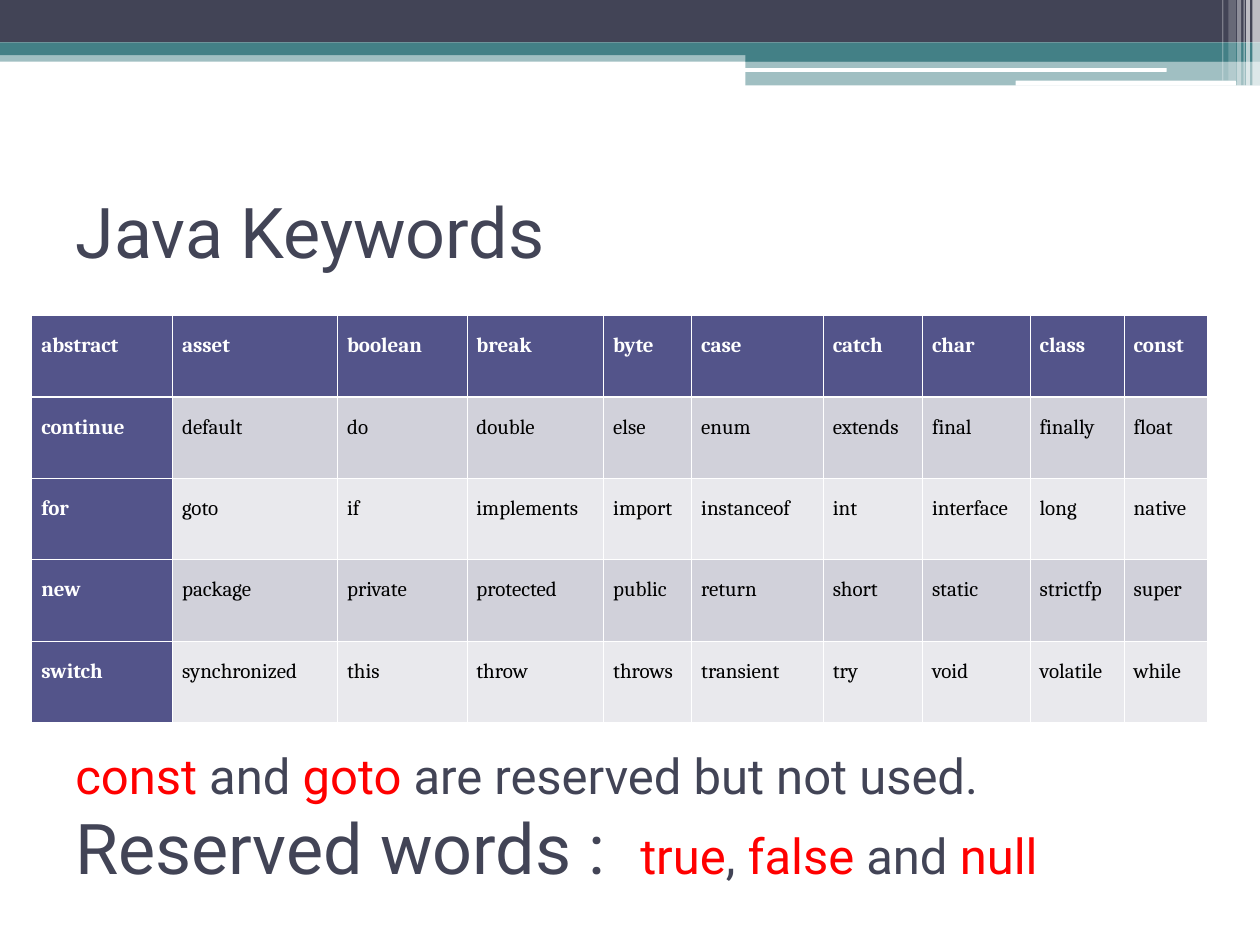
"""Build a slide that lists the Java keywords in a table."""
from typing import NamedTuple

from lxml import etree
from pptx import Presentation
from pptx.dml.color import RGBColor
from pptx.enum.shapes import MSO_SHAPE
from pptx.enum.text import MSO_ANCHOR, MSO_AUTO_SIZE, PP_ALIGN
from pptx.oxml.ns import qn
from pptx.util import Pt

RECT = MSO_SHAPE.RECTANGLE
ROUNDED = MSO_SHAPE.ROUNDED_RECTANGLE
MIDDLE = MSO_ANCHOR.MIDDLE
LEFT = PP_ALIGN.LEFT
JUSTIFY = PP_ALIGN.JUSTIFY
FIXED_SIZE = MSO_AUTO_SIZE.NONE

COLORS = {
    "ink": "424456",
    "teal": "438086",
    "white": "FFFFFF",
    "black": "000000",
    "red": "FF0000",
    "header": "53548A",
    "odd_row": "D1D1DA",
    "even_row": "E9E9ED",
}
HEADING_FONT = "Roboto"
TABLE_FONT = "Cambria"


class Band(NamedTuple):
    left: float
    top: float
    width: float
    height: float
    color: str
    opacity: int = 100
    outline: MSO_SHAPE = RECT


class Phrase(NamedTuple):
    text: str
    color: str = "ink"
    size: float = 28


BANDS = [
    Band(0, 28.8, 720, 6.5, "teal", 50),
    Band(0, 0, 720, 24.3, "ink"),
    Band(0, 24.3, 720, 7.2, "teal"),
    Band(426, 28.1, 294, 7.2, "teal"),
    Band(426, 34.6, 294, 14.2, "teal", 50),
    Band(425.5, 38.9, 241.2, 2.2, "white", outline=ROUNDED),
    Band(580.3, 46.1, 126, 2.9, "white", outline=ROUNDED),
    Band(715.7, 0, 4.3, 49, "white", 65),
    Band(712.1, 0, 2.2, 49, "white", 65),
    Band(710.6, 0, 0.7, 49, "white", 60),
    Band(707, 0, 2.2, 49, "white", 40),
    Band(702, 0, 4.3, 46.1, "white", 20),
    Band(698.4, 0, 0.7, 46.1, "white", 30),
]

KEYWORDS = [
    line.split()
    for line in (
        "abstract asset boolean break byte case catch char class const",
        "continue default do double else enum extends final finally float",
        "for goto if implements import instanceof int interface long native",
        "new package private protected public return short static strictfp super",
        "switch synchronized this throw throws transient try void volatile while",
    )
]
COLUMN_WIDTHS = [80.5, 94.3, 73.9, 78.2, 50.3, 75.2, 56.7, 61.5, 53.8, 47.6]
ROW_HEIGHT = 46.5
THIN, THICK = 0.45, 1.47

REMARKS = [
    [
        Phrase("const", "red"),
        Phrase(" and "),
        Phrase("goto", "red"),
        Phrase(" are reserved but not used."),
    ],
    [
        Phrase("Reserved words :  ", size=40),
        Phrase("true", "red"),
        Phrase(", "),
        Phrase("false", "red"),
        Phrase(" and "),
        Phrase("null", "red"),
    ],
]


def rgb(color: str) -> RGBColor:
    return RGBColor.from_string(COLORS[color])


def style_font(font, name: str, size: float, color: str, bold: bool = False) -> None:
    font.name = name
    font.size = Pt(size)
    font.bold = bold
    font.color.rgb = rgb(color)


def draw_band(slide, band: Band) -> None:
    shape = slide.shapes.add_shape(
        band.outline, Pt(band.left), Pt(band.top), Pt(band.width), Pt(band.height)
    )
    shape.shadow.inherit = False
    shape.line.fill.background()
    shape.fill.solid()
    shape.fill.fore_color.rgb = rgb(band.color)
    if band.opacity < 100:
        color_element = next(shape.fill._xPr.iter(qn("a:srgbClr")))
        etree.SubElement(color_element, qn("a:alpha"), val=str(band.opacity * 1000))


def draw_title(slide, text: str) -> None:
    title = slide.shapes.title
    title.left, title.top, title.width, title.height = Pt(36), Pt(90), Pt(648), Pt(84)
    frame = title.text_frame
    frame.text = text
    frame.auto_size = FIXED_SIZE
    frame.vertical_anchor = MIDDLE
    heading = frame.paragraphs[0]
    heading.alignment = LEFT
    style_font(heading.runs[0].font, HEADING_FONT, 40, "ink")


def add_borders(cell, row: int) -> None:
    properties = cell._tc.get_or_add_tcPr()
    widths = {
        "a:lnL": THIN,
        "a:lnR": THIN,
        "a:lnT": THICK if row == 1 else THIN,
        "a:lnB": THICK if row == 0 else THIN,
    }
    for side, width in widths.items():
        border = etree.SubElement(properties, qn(side), w=str(int(Pt(width))))
        fill = etree.SubElement(border, qn("a:solidFill"))
        etree.SubElement(fill, qn("a:srgbClr"), val=COLORS["white"])


def fill_cell(cell, keyword: str, row: int, column: int) -> None:
    is_header = row == 0 or column == 0
    add_borders(cell, row)
    cell.fill.solid()
    stripe = "odd_row" if row % 2 else "even_row"
    cell.fill.fore_color.rgb = rgb("header" if is_header else stripe)
    cell.margin_left = cell.margin_right = Pt(5.4)
    cell.margin_top = cell.margin_bottom = Pt(3.6)
    paragraph = cell.text_frame.paragraphs[0]
    paragraph.text = keyword
    paragraph.alignment = JUSTIFY
    paragraph.line_spacing = 1.5
    paragraph.space_after = Pt(10)
    style_font(
        paragraph.runs[0].font, TABLE_FONT, 12,
        "white" if is_header else "black", is_header,
    )


def draw_keyword_table(slide) -> None:
    table = slide.shapes.add_table(
        len(KEYWORDS), len(COLUMN_WIDTHS), Pt(18.2), Pt(180.3),
        Pt(sum(COLUMN_WIDTHS)), Pt(ROW_HEIGHT * len(KEYWORDS)),
    ).table
    table.first_col = True
    for column, width in zip(table.columns, COLUMN_WIDTHS):
        column.width = Pt(width)
    for row, keywords in enumerate(KEYWORDS):
        table.rows[row].height = Pt(ROW_HEIGHT)
        for column, keyword in enumerate(keywords):
            fill_cell(table.cell(row, column), keyword, row, column)


def draw_remarks(slide) -> None:
    frame = slide.shapes.add_textbox(Pt(36), Pt(408), Pt(648), Pt(117.5)).text_frame
    frame.word_wrap = True
    frame.vertical_anchor = MIDDLE
    for index, phrases in enumerate(REMARKS):
        paragraph = frame.add_paragraph() if index else frame.paragraphs[0]
        for phrase in phrases:
            run = paragraph.add_run()
            run.text = phrase.text
            style_font(run.font, HEADING_FONT, phrase.size, phrase.color)


def main() -> None:
    presentation = Presentation()
    presentation.slide_width, presentation.slide_height = Pt(720), Pt(540)
    slide = presentation.slides.add_slide(presentation.slide_layouts[5])
    for band in BANDS:
        draw_band(slide, band)
    draw_title(slide, "Java Keywords")
    draw_keyword_table(slide)
    draw_remarks(slide)
    presentation.save("out.pptx")


if __name__ == "__main__":
    main()
